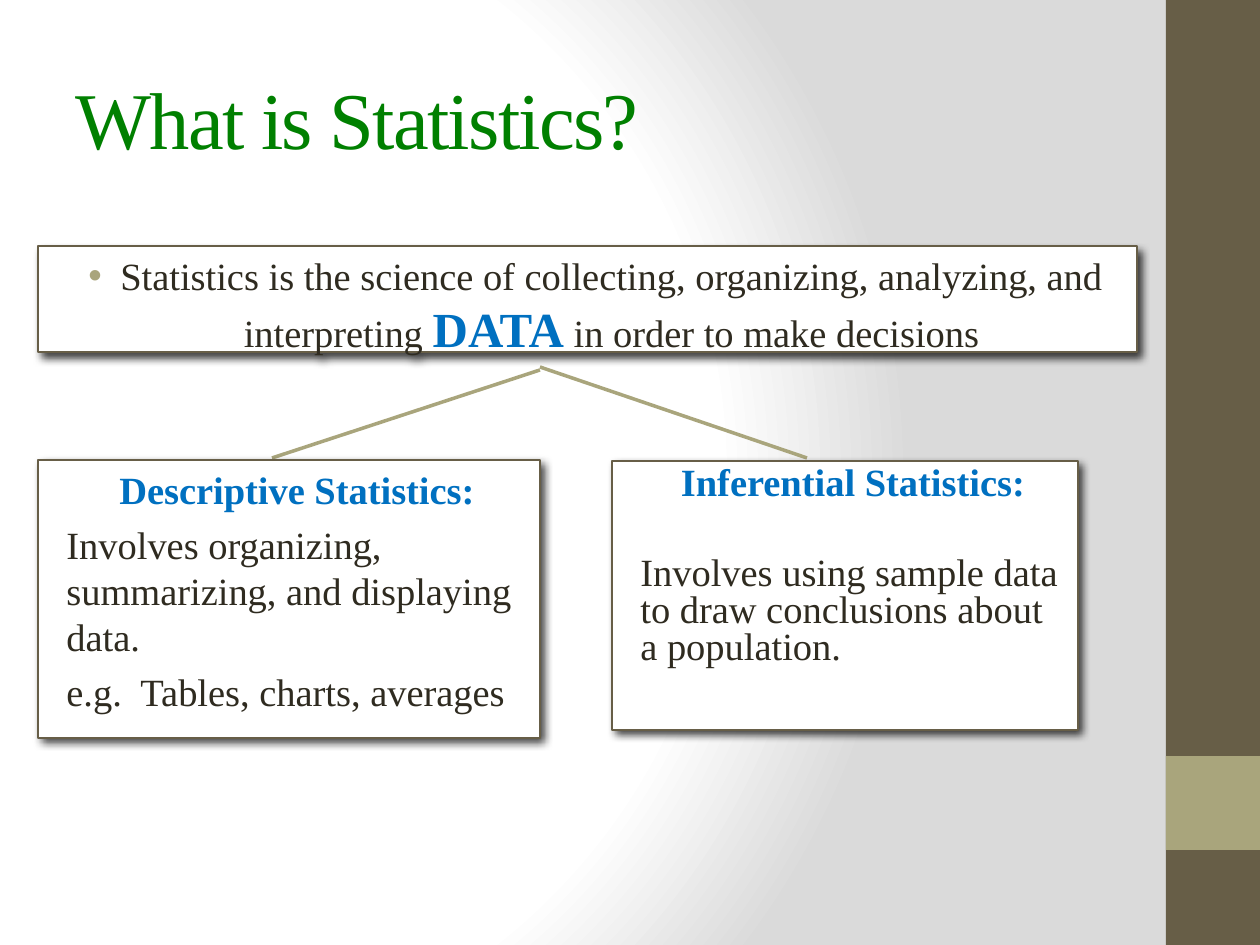
from pptx import Presentation
from pptx.dml.color import RGBColor
from pptx.enum.shapes import MSO_CONNECTOR, MSO_SHAPE
from pptx.enum.text import MSO_ANCHOR, PP_ALIGN
from pptx.oxml import parse_xml
from pptx.oxml.ns import nsdecls
from pptx.util import Pt

RECT = MSO_SHAPE.RECTANGLE
LINE = MSO_CONNECTOR.STRAIGHT
TOP, MID = MSO_ANCHOR.TOP, MSO_ANCHOR.MIDDLE
LEFT, MIDDLE = PP_ALIGN.LEFT, PP_ALIGN.CENTER
PX = 914400 // 126
FACE = "Times New Roman"
DARK, BLUE, GREEN = "2F2B20", "0070C0", "008000"
BROWN, TAN, WHITE = "675E47", "A9A57C", "FFFFFF"
color = RGBColor.from_string


def add_rect(box, fill):
    shape = slide.shapes.add_shape(RECT, *[n * PX for n in box])
    shape.shadow.inherit = False
    shape.fill.solid()
    shape.fill.fore_color.rgb = color(fill)
    shape.line.fill.background()
    return shape


def add_run(para, text, size, tint, bold=False):
    run = para.add_run()
    run.text = text
    for key, value in {"name": FACE, "size": Pt(size), "bold": bold}.items():
        setattr(run.font, key, value)
    run.font.color.rgb = color(tint)
    return run


deck = Presentation()
deck.slide_width, deck.slide_height = 1260 * PX, 945 * PX
slide = deck.slides.add_slide(deck.slide_layouts[5])

# Background: round gradient from white to grey
stops = "".join(
    f'<a:gs pos="{pos}000"><a:srgbClr val="{tint}"/></a:gs>'
    for pos, tint in [(0, WHITE), (75, WHITE), (100, "DADADA")])
slide.element.cSld.insert(0, parse_xml(
    f'<p:bg {nsdecls("p", "a")}><p:bgPr><a:gradFill rotWithShape="1">'
    f'<a:gsLst>{stops}</a:gsLst><a:path path="circle">'
    '<a:fillToRect l="20000" t="50000" r="100000" b="50000"/></a:path>'
    '</a:gradFill><a:effectLst/></p:bgPr></p:bg>'))

# Side band
add_rect((1166, 0, 94, 945), BROWN)
add_rect((1166, 756, 94, 94), TAN)

# Title
title = slide.shapes.title
place = {"left": 63, "top": 38, "width": 1050, "height": 158}
for key, value in place.items():
    setattr(title, key, value * PX)
title.text_frame.vertical_anchor = MID
para = title.text_frame.paragraphs[0]
para.alignment = LEFT
run = add_run(para, "What is Statistics?", 46, GREEN)
run.font._element.set("spc", "-100")

# Branches from the definition to the two kinds
for ends in [(540, 370, 272, 458), (540, 367, 807, 458)]:
    branch = slide.shapes.add_connector(LINE, *[n * PX for n in ends])
    branch.line.color.rgb = color(TAN)
    branch.line.width = Pt(2)
    branch._element.spPr.append(
        parse_xml(f'<a:effectLst {nsdecls("a")}/>'))

# Boxes: place, then paragraphs of
# (align, margin, indent, space before, line spacing, bullet, runs)
boxes = [
    ((38, 246, 1099, 106), [
        (MIDDLE, 48, -32, 5, 1, True, [
            ("Statistics is the science of collecting, organizing, "
             "analyzing, and interpreting ", 22, DARK),
            ("DATA", 28, BLUE, True),
            (" in order to make decisions", 22, DARK)])]),
    ((38, 460, 502, 278), [
        (MIDDLE, 16, 0, 10, 1, False,
         [("Descriptive Statistics:", 22, BLUE, True)]),
        (LEFT, 16, 0, 5, 1, False,
         [("Involves organizing, summarizing, and displaying data.",
           22, DARK)]),
        (LEFT, 16, 0, 5, 1, False,
         [("e.g.  Tables, charts, averages", 22, DARK)])]),
    ((612, 461, 466, 269), [
        (MIDDLE, 48, -32, 5, 0.8, False,
         [("Inferential Statistics:", 22, BLUE, True)]),
        (LEFT, 16, 0, 30, 0.8, False,
         [("Involves using sample data to draw conclusions about "
           "a population.", 22, DARK)])]),
]
for box, paras in boxes:
    shape = add_rect(box, WHITE)
    shape.line.color.rgb = color(BROWN)
    shape.line.width = Pt(0.75)
    shape._element.spPr.find("{*}effectLst").append(parse_xml(
        f'<a:outerShdw {nsdecls("a")} blurRad="{Pt(5)}" dist="{Pt(3)}" '
        'dir="2700000" algn="tl" rotWithShape="0"><a:srgbClr val="000000">'
        '<a:alpha val="75000"/></a:srgbClr></a:outerShdw>'))
    frame = shape.text_frame
    frame.word_wrap = True
    frame.vertical_anchor = TOP
    for i, (align, margin, indent, gap, pitch, dot, runs) in enumerate(paras):
        para = frame.add_paragraph() if i else frame.paragraphs[0]
        look = {"alignment": align, "space_before": Pt(gap),
                "line_spacing": pitch}
        for key, value in look.items():
            setattr(para, key, value)
        props = para._p.get_or_add_pPr()
        props.set("marL", str(margin * PX))
        props.set("indent", str(indent * PX))
        if dot:
            for mark in (f'<a:buClr {nsdecls("a")}><a:srgbClr val="{TAN}"/>'
                         '</a:buClr>',
                         f'<a:buFont {nsdecls("a")} typeface="Arial"/>',
                         f'<a:buChar {nsdecls("a")} char="•"/>'):
                props.append(parse_xml(mark))
        for item in runs:
            add_run(para, *item)

deck.save("out.pptx")
